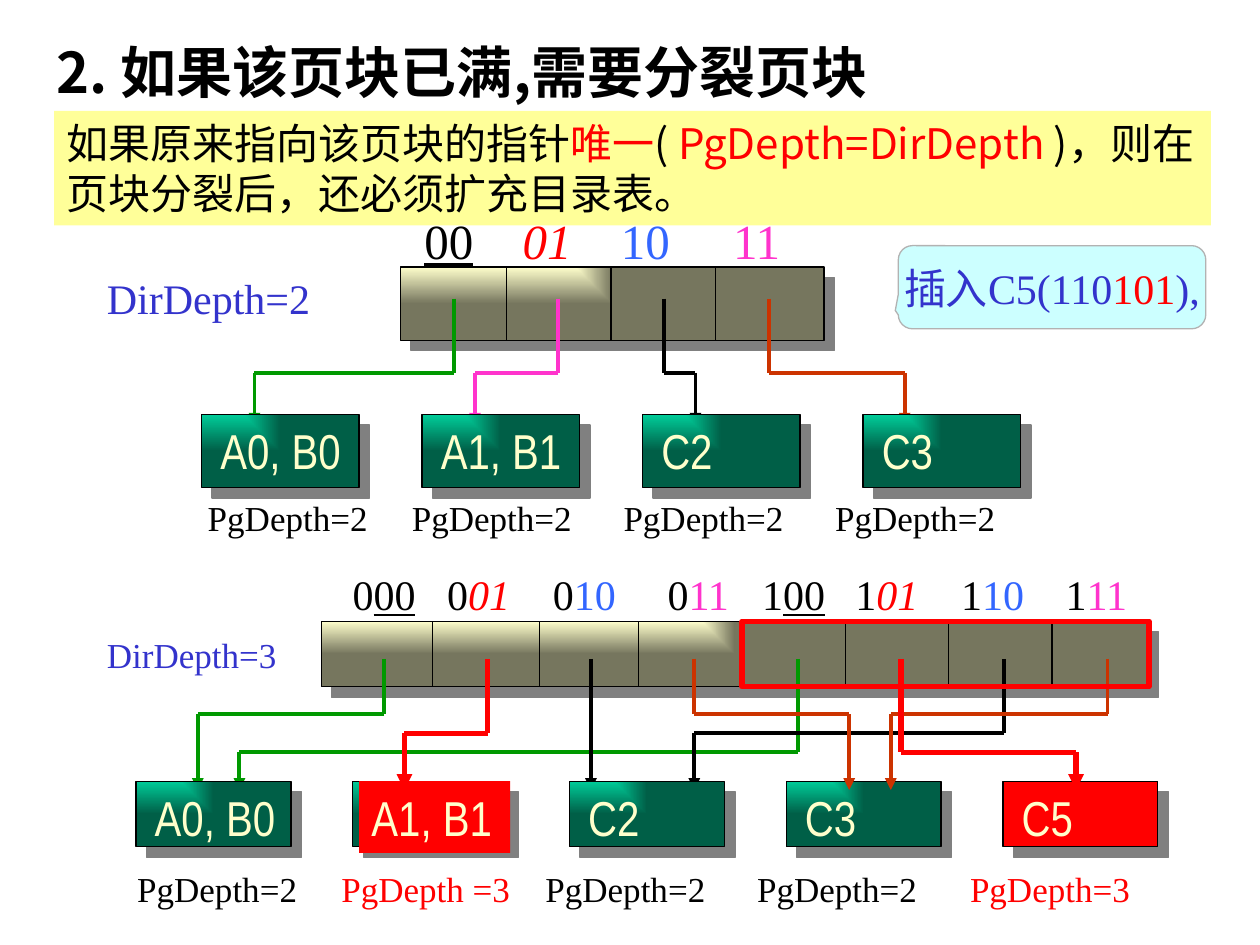
from pptx import Presentation
from pptx.dml.color import RGBColor
from pptx.enum.shapes import MSO_CONNECTOR, MSO_SHAPE
from pptx.enum.text import MSO_ANCHOR, PP_ALIGN
from pptx.oxml import parse_xml
from pptx.oxml.ns import nsdecls
from pptx.util import Inches, Pt

RECT = MSO_SHAPE.RECTANGLE
BUBBLE = MSO_SHAPE.ROUNDED_RECTANGULAR_CALLOUT
LINE = MSO_CONNECTOR.STRAIGHT
TOP, MIDDLE = MSO_ANCHOR.TOP, MSO_ANCHOR.MIDDLE
LEFT, CENTER = PP_ALIGN.LEFT, PP_ALIGN.CENTER

BLACK = RGBColor(0x00, 0x00, 0x00)
RED = RGBColor(0xFF, 0x00, 0x00)
GREEN = RGBColor(0x00, 0x99, 0x00)
PINK = RGBColor(0xFF, 0x33, 0xCC)
RUST = RGBColor(0xCC, 0x33, 0x00)
BLUE = RGBColor(0x33, 0x66, 0xFF)
NAVY = RGBColor(0x33, 0x33, 0xCC)
GRAY = RGBColor(0xB2, 0xB2, 0xB2)
YELLOW = RGBColor(0xFF, 0xFF, 0x99)
CYAN = RGBColor(0xCC, 0xFF, 0xFF)
CREAM = RGBColor(0xFF, 0xFF, 0xCC)
OLIVE = RGBColor(0x76, 0x76, 0x5E)
TEAL = RGBColor(0x00, 0xCC, 0x99)
PINE = RGBColor(0x00, 0x5F, 0x47)

SANS, SERIF, THIN = "Noto Sans CJK SC", "Times New Roman", "Arial Narrow"
PAGE_FILL, DIR_FILL = [TEAL, PINE], [CREAM, OLIVE]
KEYS = [("00", BLACK, {"underline": True}), ("01", RED, {"italic": True}),
        ("10", BLUE, {}), ("11", PINK, {})]

# Wires: start x, bend y, end x, colour, width
WIRES_2 = [(3.6, 2.96, 2.02, GREEN, 2.25), (4.43, 2.96, 3.77, PINK, 2.25),
           (5.27, 2.96, 5.52, BLACK, 2.25), (6.1, 2.96, 7.18, RUST, 2.25)]
UNDER_3 = [(3.05, 5.67, 1.57, GREEN, 2.25), (6.33, 5.97, 1.9, GREEN, 2.25),
           (4.69, 5.82, 4.69, BLACK, 2.25), (7.97, 5.82, 5.51, BLACK, 2.25)]
OVER_3 = [(5.51, 5.67, 6.74, RUST, 2.25), (8.79, 5.67, 7.07, RUST, 2.25),
          (3.87, 5.82, 3.21, RED, 3), (7.15, 5.97, 8.54, RED, 3)]


def write(frame, runs, size, face, anchor=TOP, align=LEFT, wrap=True,
          space=1.0, tabs=()):
    """Fill a frame with one paragraph; a run is text, colour, extras."""
    frame.word_wrap, frame.vertical_anchor = wrap, anchor
    para = frame.paragraphs[0]
    para.alignment, para.line_spacing = align, space
    para.space_before = Pt(0)
    if tabs:
        stops = "".join(f'<a:tab pos="{Inches(x)}" algn="l"/>' for x in tabs)
        para._p.get_or_add_pPr().append(
            parse_xml(f'<a:tabLst {nsdecls("a")}>{stops}</a:tabLst>'))
    for text, color, *more in runs:
        run = para.add_run()
        run.text = text
        style = {"size": Pt(size), "name": face, **(more[0] if more else {})}
        for key, value in style.items():
            setattr(run.font, key, value)
        run.font.color.rgb = color
        run._r.get_or_add_rPr().append(
            parse_xml(f'<a:ea {nsdecls("a")} typeface="{SANS}"/>'))
    return para


def label(slide, box, runs, size, face, **style):
    text = slide.shapes.add_textbox(*map(Inches, box))
    write(text.text_frame, runs, size, face, **style)
    return text


def block(slide, box, fill=None, line=None, width=0.75, kind=RECT):
    """Add a shape; a list of two colours fades from the top left corner."""
    shape = slide.shapes.add_shape(kind, *map(Inches, box))
    shape.shadow.inherit = False
    if fill is None:
        shape.fill.background()
    elif isinstance(fill, list):
        shape.fill.gradient()
        for stop, color, place in zip(shape.fill.gradient_stops, fill, (0, 1)):
            stop.color.rgb, stop.position = color, place
        lin = shape._element.spPr.find(".//{*}lin")
        lin.getparent().replace(lin, parse_xml(
            f'<a:path {nsdecls("a")} path="rect">'
            '<a:fillToRect r="100000" b="100000"/></a:path>'))
    else:
        shape.fill.solid()
        shape.fill.fore_color.rgb = fill
    if line is None:
        shape.line.fill.background()
    else:
        shape.line.color.rgb, shape.line.width = line, Pt(width)
    return shape


def raised(slide, box, fill):
    """Add a black-edged block with a hard grey shadow."""
    shape = block(slide, box, fill, BLACK)
    shape._element.spPr.find("{*}effectLst").append(parse_xml(
        f'<a:outerShdw {nsdecls("a")} dist="{Pt(8.5)}" dir="2700000" '
        'algn="ctr" rotWithShape="0"><a:srgbClr val="808080"/></a:outerShdw>'))


def rule(slide, start, end, color, width, arrow=False):
    line = slide.shapes.add_connector(LINE, *map(Inches, (*start, *end)))
    line.line.color.rgb, line.line.width = color, Pt(width)
    if arrow:
        line.line._get_or_add_ln().append(
            parse_xml(f'<a:tailEnd {nsdecls("a")} type="triangle"/>'))
    line._element.spPr.append(parse_xml(f'<a:effectLst {nsdecls("a")}/>'))


def wire(slide, wires, top, tip):
    """Link directory cells to pages with a bent line each."""
    for x, bend, end, color, width in wires:
        if x == end:
            rule(slide, (x, top), (x, tip), color, width, True)
            continue
        rule(slide, (x, top), (x, bend), color, width)
        rule(slide, (x, bend), (end, bend), color, width)
        rule(slide, (end, bend), (end, tip), color, width, True)


def table(slide, box, cuts):
    """Draw a directory and the rules between its cells."""
    raised(slide, box, DIR_FILL)
    _, top, _, high = box
    for x in cuts:
        rule(slide, (x, top), (x, top + high), BLACK, 0.75)


def pages(slide, names, left, top, step, wide, high):
    for i, name in enumerate(names):
        x = left + i * step
        raised(slide, (x, top, wide, high), RED if name == "C5" else PAGE_FILL)
        long = len(name) > 2
        tag = label(slide, (x + 0.05, top, 1.2 if long else 0.61, 0.57),
                    [(name, CREAM)], 28, THIN, wrap=False)
        if name == "A1, B1" and "C5" in names:
            tag.fill.solid()
            tag.fill.fore_color.rgb = RED


def keys(slide, box, heads, size, tabs):
    """Write the directory keys, each head bit before the four endings."""
    runs = []
    for head in heads:
        for tail in KEYS:
            lead = ("\t" if runs else "") + head
            if lead:
                runs.append((lead, BLACK))
            runs.append(tail)
    label(slide, box, runs, size, SERIF, tabs=tabs)


def depths(slide, box, items, tabs):
    runs = [("\t" * (i > 0) + text, color)
            for i, (text, color) in enumerate(items)]
    label(slide, box, runs, 20, SERIF, space=0.9, tabs=tabs)


def heading(slide):
    title = slide.shapes.title
    spots = {"left": 0.35, "top": 0.21, "width": 7.56, "height": 0.69}
    for key, value in spots.items():
        setattr(title, key, Inches(value))
    para = write(title.text_frame,
                 [("2. 如果该页块已满,需要分裂页块", BLACK, {"bold": True})],
                 32, SANS, anchor=MIDDLE, space=1.05)
    props = para._p.get_or_add_pPr()
    props.set("marL", str(Inches(0.38)))
    props.set("indent", str(Inches(-0.38)))


def intro(slide):
    banner = block(slide, (0.43, 0.88, 9.18, 0.91), YELLOW)
    write(banner.text_frame,
          [("如果原来指向该页块的指针", BLACK), ("唯一", RED), ("( ", BLACK),
           ("PgDepth=DirDepth ", RED),
           (")，则在页块分裂后，还必须扩充目录表。", BLACK)], 24, SANS)
    note = block(slide, (7.13, 1.95, 2.44, 0.66), CYAN, GRAY, kind=BUBBLE)
    for i, value in enumerate((-0.51, 0.28, 0.17)):
        note.adjustments[i] = value
    write(note.text_frame,
          [("插入C5(110", NAVY), ("101", RED), ("),", NAVY)],
          24, SERIF, anchor=MIDDLE, align=CENTER, wrap=False)


def before(slide):
    keys(slide, (3.27, 1.62, 3.1, 0.57), [""], 28, (0.78, 1.56, 2.45))
    table(slide, (3.18, 2.12, 3.36, 0.58), (4.02, 4.85, 5.68))
    wire(slide, WIRES_2, 2.37, 3.37)
    pages(slide, ("A0, B0", "A1, B1", "C2", "C3"), 1.6, 3.29, 1.75, 1.25, 0.58)
    label(slide, (0.75, 2.11, 1.91, 0.5), [("DirDepth=2", NAVY)], 24, SERIF,
          wrap=False)
    depths(slide, (1.55, 3.93, 6.71, 0.4), [("PgDepth=2", BLACK)] * 4,
           (1.62, 3.3, 4.98))


def after(slide):
    table(slide, (2.55, 4.93, 6.56, 0.52),
          (3.43, 4.28, 5.07, 5.89, 6.71, 7.53, 8.35))
    keys(slide, (2.7, 4.46, 6.45, 0.5), "01", 24,
         (0.75, 1.59, 2.5, 3.25, 3.99, 4.83, 5.66))
    wire(slide, UNDER_3, 5.23, 6.27)
    pages(slide, ("A0, B0", "A1, B1", "C2", "C3", "C5"),
          1.08, 6.2, 1.72, 1.23, 0.52)
    wire(slide, OVER_3, 5.23, 6.27)
    label(slide, (0.75, 4.98, 1.62, 0.43), [("DirDepth=3", NAVY)], 20, SERIF,
          wrap=False)
    old = ("PgDepth=2", BLACK)
    depths(slide, (0.99, 6.87, 8.39, 0.4),
           [old, ("PgDepth =3", RED), old, old, ("PgDepth=3", RED)],
           (1.62, 3.24, 4.92, 6.61))
    block(slide, (5.89, 4.93, 3.23, 0.52), line=RED, width=3)


def main():
    deck = Presentation()
    deck.slide_width, deck.slide_height = Inches(10), Inches(7.5)
    slide = deck.slides.add_slide(deck.slide_layouts[5])
    heading(slide)
    intro(slide)
    before(slide)
    after(slide)
    deck.save("out.pptx")


if __name__ == "__main__":
    main()
